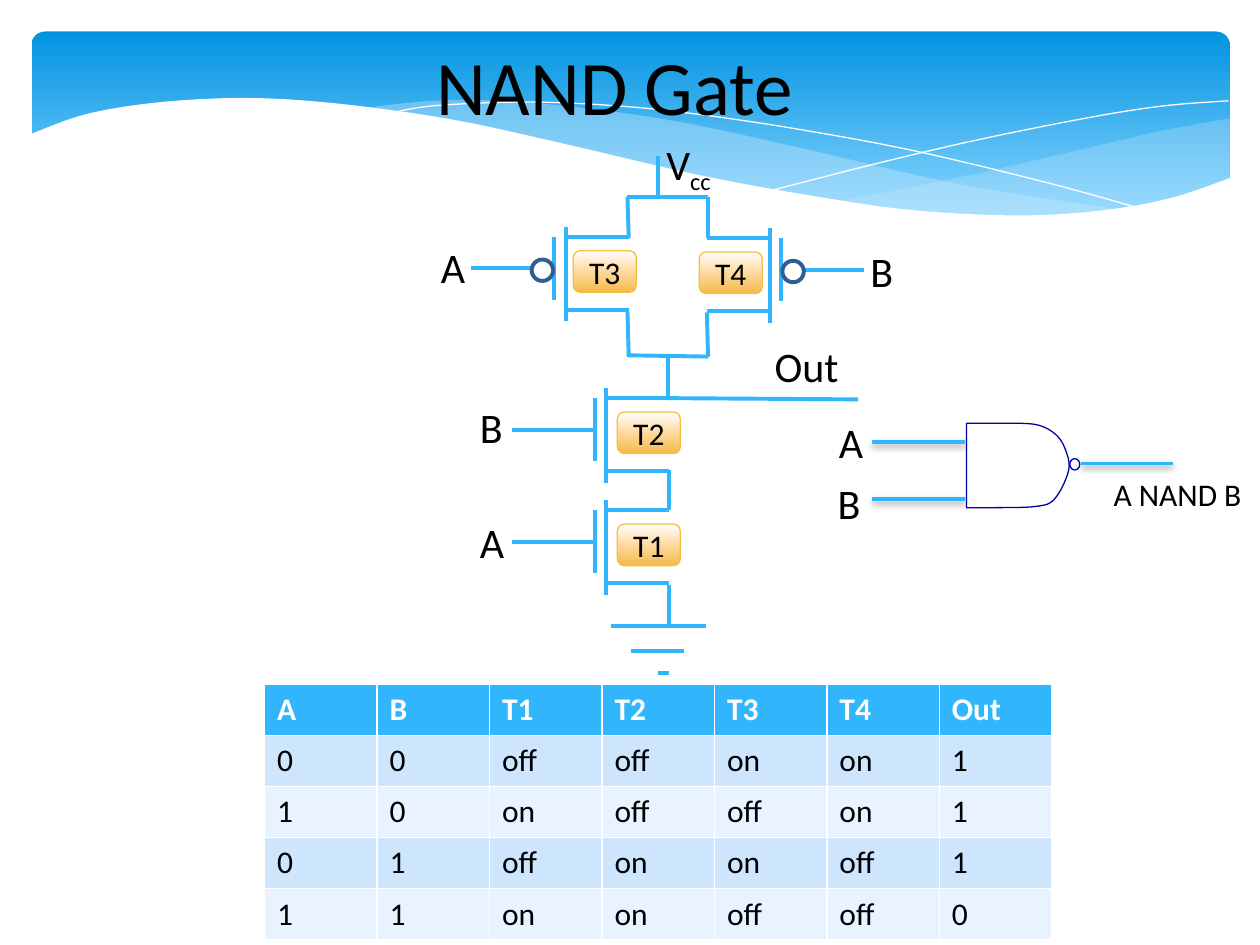
from lxml.etree import SubElement
from pptx import Presentation
from pptx.dml.color import RGBColor
from pptx.enum.shapes import MSO_CONNECTOR, MSO_SHAPE
from pptx.enum.text import MSO_ANCHOR, MSO_AUTO_SIZE, PP_ALIGN
from pptx.oxml.ns import qn
from pptx.util import Inches, Pt

# ---- Content (lengths in inches) ----
FONT = "Calibri"
COLORS = {"wire": "31B6FD", "bubble": "315D95", "gate": "0000A9", "tag": "F5C040",
          "wave": "C6E7FC", "white": "FFFFFF", "text": "000000",
          "header": "31B6FD", "odd": "CEE5FE", "even": "E8F3FF"}
BANNER_STOPS = [(0, "0293E0"), (90, "83D3FE"), (100, "83D3FE")]
TAG_STOPS = [(0, "FFFFFF"), (44, "FFDDAA"), (100, "F4BB4A")]

TITLE = "NAND Gate"
TRUTH_TABLE = [
    ["A", "B", "T1", "T2", "T3", "T4", "Out"],
    ["0", "0", "off", "off", "on", "on", "1"],
    ["1", "0", "on", "off", "off", "on", "1"],
    ["0", "1", "off", "on", "on", "off", "1"],
    ["1", "1", "on", "on", "off", "off", "0"],
]
# name, channel x, channel top, direction of drain and source, tag gap, inverted input
TRANSISTORS = [("T1", 4.81, 3.97, 1, 0.09, False), ("T2", 4.81, 3.08, 1, 0.09, False),
               ("T3", 4.49, 1.80, 1, 0.06, True), ("T4", 6.11, 1.81, -1, 0.06, True)]
WIRES = [
    (5.22, 1.24, 5.22, 1.56), (4.98, 1.56, 5.62, 1.56),                             # supply
    (4.98, 1.56, 4.99, 1.89), (5.62, 1.56, 5.62, 1.89),
    (4.98, 2.47, 4.99, 2.83), (5.61, 2.48, 5.62, 2.83), (4.98, 2.82, 5.62, 2.83),   # join
    (5.30, 2.83, 5.30, 3.16), (5.30, 3.16, 6.81, 3.17),                             # output
    (5.31, 3.73, 5.31, 4.05), (5.31, 4.64, 5.31, 4.96),                             # series
    (4.85, 4.97, 5.60, 4.97), (5.01, 5.17, 5.43, 5.17), (5.22, 5.34, 5.31, 5.34),   # ground
]
SYMBOL_WIRES = [(6.92, 3.51, 7.66, 3.51), (6.92, 3.96, 7.66, 3.96), (8.58, 3.68, 9.31, 3.68)]
# text, left, top, width, size
LABELS = [("A", 3.40, 1.87, 0.41, 24), ("B", 6.81, 1.90, 0.40, 24),
          ("B", 3.71, 3.14, 0.41, 24), ("A", 3.71, 4.05, 0.41, 24),
          ("Out", 6.05, 2.65, 0.74, 24), ("A", 6.56, 3.26, 0.41, 24),
          ("B", 6.55, 3.74, 0.41, 24), ("A NAND B", 8.74, 3.72, 1.27, 18)]

# Smooth stretches of the wave outlines; each inner list is one curve
RIGHT_WAVE = [[(9.76, 0.94), (9.21, 1.04), (8.61, 1.18), (7.79, 1.37), (7.06, 1.52), (6.61, 1.60)],
              [(6.61, 1.60), (7.19, 1.67), (7.69, 1.71), (8.24, 1.72), (8.72, 1.69),
               (9.21, 1.60), (9.49, 1.52), (9.76, 1.41)]]
MIDDLE_WAVE = [[(8.93, 1.67), (8.07, 1.54), (7.41, 1.42), (6.29, 1.16), (5.41, 0.97),
                (4.65, 0.86), (3.99, 0.80), (3.44, 0.80), (2.86, 0.86)],
               [(2.86, 0.86), (3.62, 0.97), (4.49, 1.16), (5.66, 1.43), (6.50, 1.58),
                (7.22, 1.68), (7.85, 1.72), (8.38, 1.72), (8.93, 1.67)]]
FALLING_LINE = [[(3.09, 0.90), (3.44, 0.84), (4.16, 0.81), (4.89, 0.84), (5.56, 0.91),
                 (6.36, 1.03), (7.27, 1.20), (8.31, 1.45), (9.07, 1.66)]]
RISING_LINE = [[(6.13, 1.51), (6.95, 1.30), (7.76, 1.11), (8.66, 0.93), (9.24, 0.84), (9.75, 0.80)]]
WHITE_WAVE = [[(9.77, 1.41), (9.30, 1.57), (8.75, 1.67), (8.09, 1.71), (7.26, 1.67),
               (6.48, 1.56), (5.55, 1.39), (4.47, 1.14), (3.65, 0.96), (2.92, 0.85),
               (2.30, 0.79), (1.77, 0.78), (1.19, 0.82), (0.67, 0.91), (0.23, 1.07)],
              [(0.23, 2.24), (9.77, 2.24)]]
GATE_OUTLINE = [[(7.67, 4.03), (7.67, 3.36)],
                [(7.94, 3.36), (8.22, 3.37), (8.38, 3.45), (8.46, 3.58), (8.48, 3.74),
                 (8.37, 3.96), (8.22, 4.02), (7.88, 4.03)]]

prs = Presentation()
prs.slide_width, prs.slide_height = Inches(10), Inches(7.5)
slide = prs.slides.add_slide(prs.slide_layouts[5])
shapes = slide.shapes


# ---- Helpers ----
def color(name):
    return RGBColor.from_string(COLORS[name])


def paint(shape, fill=None, line=None, width=0, alpha=None):
    shape.shadow.inherit = False
    if fill:
        shape.fill.solid()
        shape.fill.fore_color.rgb = color(fill)
        if alpha:
            tint = shape.element.spPr.find(qn("a:solidFill"))[0]
            SubElement(tint, qn("a:alpha"), val=str(alpha * 1000))
    else:
        shape.fill.background()
    if line:
        shape.line.color.rgb = color(line)
        shape.line.width = Pt(width)
    else:
        shape.line.fill.background()


def shade(shape, stops):
    shape.fill.gradient()
    shape.fill.gradient_angle = 270
    stop_list = next(shape.element.spPr.iter(qn("a:gsLst")))
    for old_stop in list(stop_list):
        stop_list.remove(old_stop)
    for share, tint in stops:
        stop = SubElement(stop_list, qn("a:gs"), pos=str(share * 1000))
        SubElement(stop, qn("a:srgbClr"), val=tint)


def smooth(points, steps=8):
    """Catmull-Rom curve through the points."""
    curve = [points[0]]
    padded = [points[0], *points, points[-1]]
    for p0, p1, p2, p3 in zip(padded, padded[1:], padded[2:], padded[3:]):
        for t in (step / steps for step in range(1, steps + 1)):
            curve.append(tuple(
                b + t * (c - a) / 2 + t ** 2 * (a - 2.5 * b + 2 * c - d / 2)
                + t ** 3 * (1.5 * (b - c) + (d - a) / 2)
                for a, b, c, d in zip(p0, p1, p2, p3)))
    return curve


def outline(stretches, closed=True, **look):
    # The builder rounds to whole units, so points are given in EMU
    points = [(Inches(x), Inches(y)) for stretch in stretches
              for x, y in (smooth(stretch) if len(stretch) > 2 else stretch)]
    builder = shapes.build_freeform(*points[0])
    builder.add_line_segments(points[1:], close=closed)
    paint(builder.convert_to_shape(), **look)


def preset(kind, *box):
    return shapes.add_shape(kind, *map(Inches, box))


def wire(ends, width=2.25, shadow=False):
    connector = shapes.add_connector(MSO_CONNECTOR.STRAIGHT, *map(Inches, ends))
    connector.line.color.rgb = color("wire")
    connector.line.width = Pt(width)
    effects = SubElement(connector.element.spPr, qn("a:effectLst"))
    if shadow:
        cast = SubElement(effects, qn("a:outerShdw"), blurRad=str(Pt(4)), dist=str(Pt(2)),
                          dir="5400000", rotWithShape="0")
        SubElement(SubElement(cast, qn("a:srgbClr"), val="000000"), qn("a:alpha"), val="38000")


def write(paragraph, text, size, tint="text", bold=False):
    run = paragraph.add_run()
    run.text = text
    for key, value in {"name": FONT, "size": Pt(size), "bold": bold}.items():
        setattr(run.font, key, value)
    run.font.color.rgb = color(tint)
    return run


def label(text, left, top, width, size):
    frame = shapes.add_textbox(*map(Inches, (left, top, width, size / 48))).text_frame
    frame.word_wrap = False
    frame.auto_size = MSO_AUTO_SIZE.SHAPE_TO_FIT_TEXT
    write(frame.paragraphs[0], text, size)
    return frame.paragraphs[0]


def transistor(name, x, top, side, gap, inverted):
    plate = x - side * 0.09
    wire((plate, top + 0.08, plate, top + 0.58))
    wire((x, top, x, top + 0.75))
    for terminal in (top + 0.08, top + 0.66):
        wire((x, terminal, x + side * 0.5, terminal))
    wire((plate - side * 0.66, top + 0.33, plate, top + 0.33))
    if inverted:
        bubble = preset(MSO_SHAPE.OVAL, x - side * 0.185 - 0.085, top + 0.26, 0.17, 0.17)
        paint(bubble, "white", "bubble", 2.25)
    tag = preset(MSO_SHAPE.ROUNDED_RECTANGLE, x + side * (gap + 0.25) - 0.25, top + 0.19, 0.5, 0.33)
    paint(tag, line="tag", width=0.75)
    shade(tag, TAG_STOPS)
    frame = tag.text_frame
    frame.word_wrap = False
    frame.vertical_anchor = MSO_ANCHOR.MIDDLE
    frame.paragraphs[0].alignment = PP_ALIGN.CENTER
    write(frame.paragraphs[0], name, 18)


# ---- Banner with waves ----
banner = preset(MSO_SHAPE.ROUNDED_RECTANGLE, 0.25, 0.25, 9.51, 1.56)
banner.adjustments[0] = 0.07
paint(banner)
shade(banner, BANNER_STOPS)
outline(RIGHT_WAVE, fill="wave", alpha=29)
outline(MIDDLE_WAVE, fill="wave", alpha=40)
for wave_line in (FALLING_LINE, RISING_LINE):
    outline(wave_line, closed=False, line="white")
outline(WHITE_WAVE, fill="white")

# ---- Title, brought in front of the banner ----
title = shapes.title
title.left, title.top, title.width, title.height = map(Inches, (0.17, 0.25, 9.42, 0.84))
title.text_frame.vertical_anchor = MSO_ANCHOR.MIDDLE
title.text_frame.paragraphs[0].alignment = PP_ALIGN.CENTER
write(title.text_frame.paragraphs[0], TITLE, 44)
shapes.element.append(title.element)

# ---- Circuit ----
for ends in WIRES:
    wire(ends)
for part in TRANSISTORS:
    transistor(*part)

# ---- Gate symbol ----
outline(GATE_OUTLINE, line="gate")
paint(preset(MSO_SHAPE.OVAL, 8.49, 3.64, 0.08, 0.09), line="gate")
for ends in SYMBOL_WIRES:
    wire(ends, 2, shadow=True)

# ---- Labels ----
for entry in LABELS:
    label(*entry)
supply = label("V", 5.19, 1.05, 0.58, 24)
write(supply, "cc", 24).font._element.set("baseline", "-25000")

# ---- Truth table ----
table = shapes.add_table(len(TRUTH_TABLE), len(TRUTH_TABLE[0]),
                         *map(Inches, (2.1, 5.43, 6.25, 2.03))).table
for r, row in enumerate(TRUTH_TABLE):
    for c, value in enumerate(row):
        cell = table.cell(r, c)
        cell.fill.solid()
        cell.fill.fore_color.rgb = color("header" if r == 0 else "odd" if r % 2 else "even")
        write(cell.text_frame.paragraphs[0], value, 18, "text" if r else "white", r == 0)

prs.save("out.pptx")
